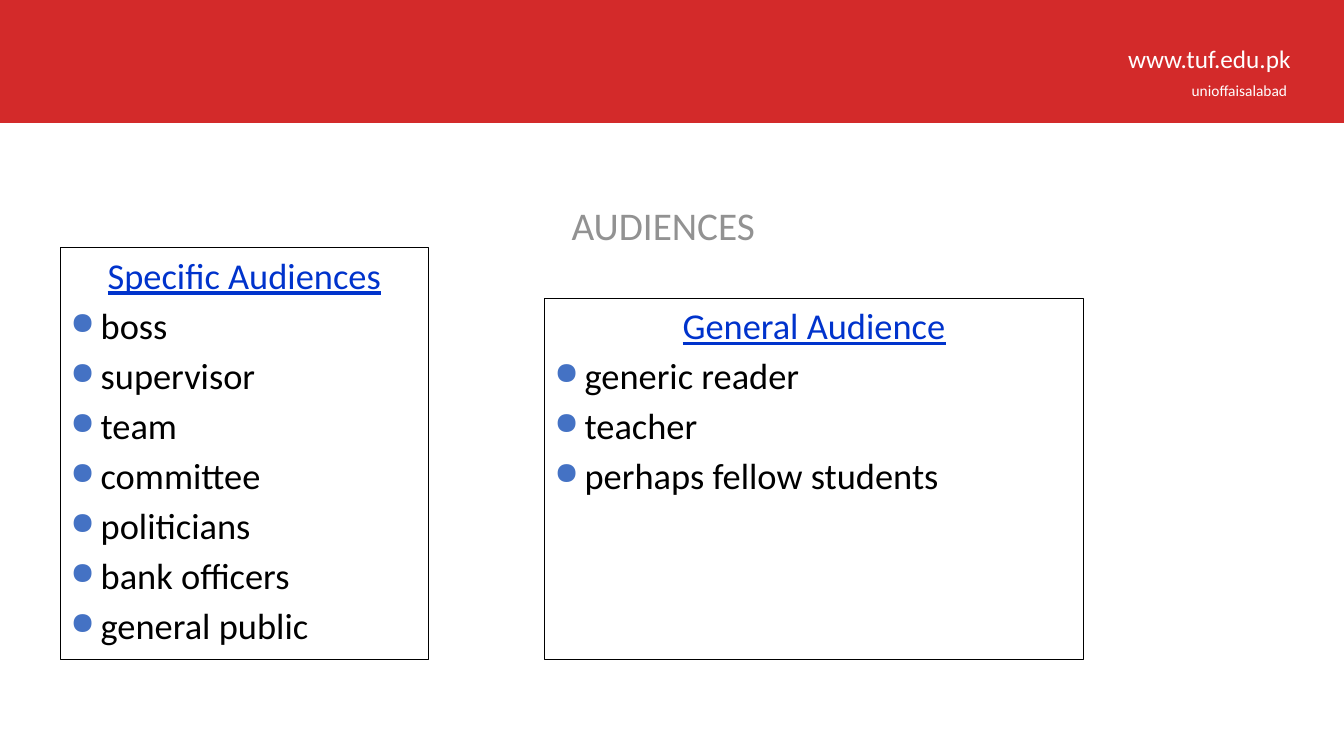
from dataclasses import dataclass
from typing import Any

from lxml.etree import SubElement
from pptx import Presentation
from pptx.dml.color import RGBColor
from pptx.enum.shapes import MSO_SHAPE
from pptx.enum.text import MSO_ANCHOR, MSO_AUTO_SIZE, PP_ALIGN
from pptx.oxml.ns import qn
from pptx.util import Inches, Pt

RED, WHITE, GREY = "D32A2A", "FFFFFF", "929292"
BLACK, BLUE, DOT = "000000", "0033CC", "4472C4"


@dataclass
class Label:
    text: str
    left: float
    top: float
    width: float
    height: float
    size: int


@dataclass
class Panel:
    head: str
    items: list[str]
    left: float
    top: float
    width: float
    height: float


LABELS = [
    Label("unioffaisalabad", 11.72, 0.76, 1.55, 0.29, 11),
    Label("www.tuf.edu.pk", 11.09, 0.38, 2.2, 0.4, 18),
]
PANELS = [
    Panel("Specific Audiences",
          ["boss", "supervisor", "team", "committee", "politicians",
           "bank officers", "general public"], 0.6, 2.46, 3.65, 4.08),
    Panel("General Audience",
          ["generic reader", "teacher", "perhaps fellow students"],
          5.4, 2.96, 5.35, 3.58),
]
FRAME = {"word_wrap": True, "auto_size": MSO_AUTO_SIZE.NONE,
         "vertical_anchor": MSO_ANCHOR.TOP}


def tint(code: str) -> RGBColor:
    return RGBColor.from_string(code)


def apply(target: Any, values: dict[str, Any]) -> None:
    for name, value in values.items():
        setattr(target, name, value)


def style(para: Any, text: str, size: int, color: str,
          align: PP_ALIGN = PP_ALIGN.LEFT, line: bool = False) -> None:
    para.text = text
    para.alignment = align
    apply(para.runs[0].font, {"name": "Calibri", "size": Pt(size), "underline": line})
    para.runs[0].font.color.rgb = tint(color)


def bullet(para: Any) -> None:
    props = para._p.get_or_add_pPr()
    props.set("marL", str(Inches(0.3)))
    props.set("indent", str(Inches(-0.3)))
    SubElement(SubElement(props, qn("a:buClr")), qn("a:srgbClr"), val=DOT)
    SubElement(props, qn("a:buSzPct"), val="85000")
    SubElement(props, qn("a:buChar"), char="●")


def add_box(slide: Any, left: float, top: float, width: float, height: float) -> Any:
    box = slide.shapes.add_shape(MSO_SHAPE.RECTANGLE, Inches(left), Inches(top),
                                 Inches(width), Inches(height))
    box.shadow.inherit = False
    return box


def add_label(slide: Any, label: Label) -> None:
    box = slide.shapes.add_textbox(Inches(label.left), Inches(label.top),
                                   Inches(label.width), Inches(label.height))
    apply(box.text_frame, FRAME)
    style(box.text_frame.paragraphs[0], label.text, label.size, WHITE)


def add_panel(slide: Any, panel: Panel) -> None:
    box = add_box(slide, panel.left, panel.top, panel.width, panel.height)
    box.fill.background()
    box.line.color.rgb = tint(BLACK)
    box.line.width = Pt(0.75)
    frame = box.text_frame
    apply(frame, FRAME)
    style(frame.paragraphs[0], panel.head, 26, BLUE, PP_ALIGN.CENTER, True)
    for item in panel.items:
        para = frame.add_paragraph()
        bullet(para)
        style(para, item, 26, BLACK)
        para.space_before = Pt(4.6)


def set_title(slide: Any) -> None:
    title = slide.shapes.title
    apply(title, {"left": Inches(5.57), "top": Inches(2),
                  "width": Inches(3), "height": Inches(0.6)})
    apply(title.text_frame, FRAME)
    para = title.text_frame.paragraphs[0]
    style(para, "AUDIENCES", 28, GREY)
    para.line_spacing = 0.9


def main() -> None:
    deck = Presentation()
    apply(deck, {"slide_width": Inches(13.33), "slide_height": Inches(7.5)})
    slide = deck.slides.add_slide(deck.slide_layouts[5])
    band = add_box(slide, 0, 0, 13.33, 1.22)
    band.fill.solid()
    band.fill.fore_color.rgb = tint(RED)
    band.line.fill.background()
    for label in LABELS:
        add_label(slide, label)
    set_title(slide)
    for panel in PANELS:
        add_panel(slide, panel)
    deck.save("out.pptx")


if __name__ == "__main__":
    main()
